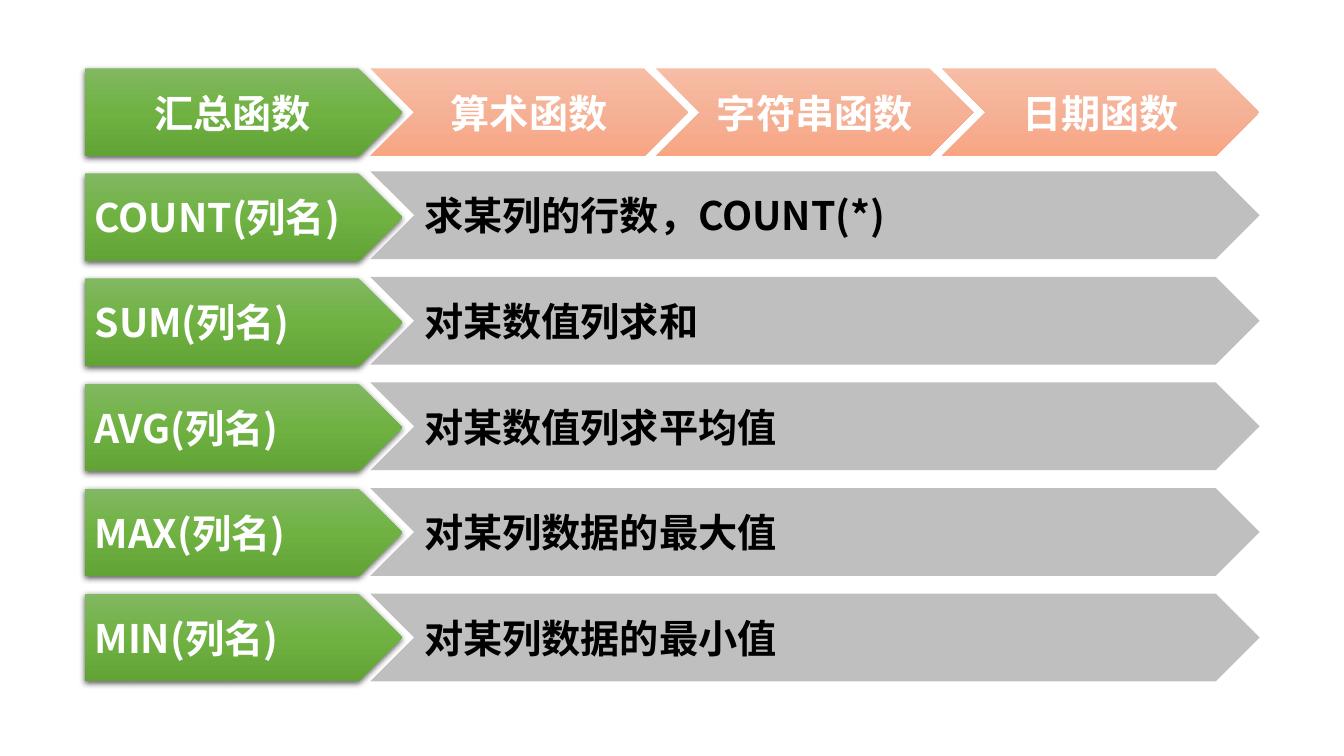
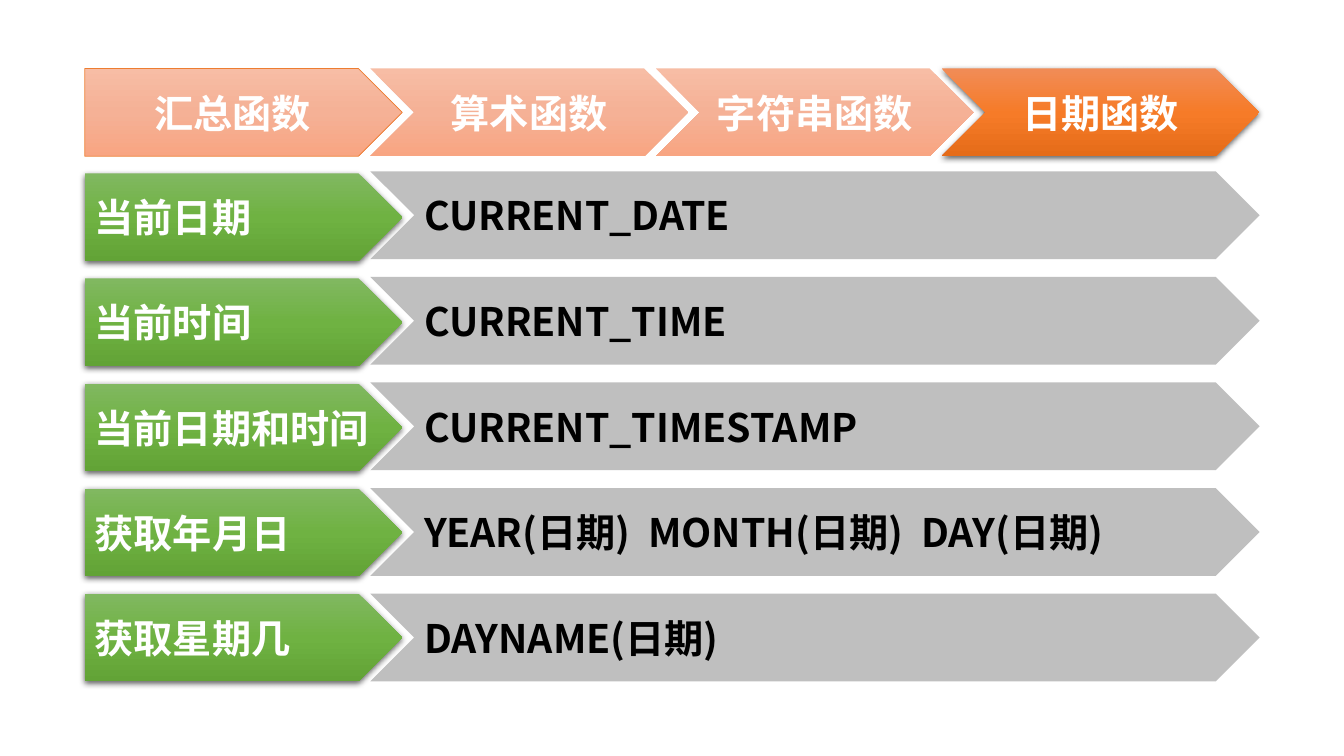
from dataclasses import dataclass

from lxml import etree
from pptx import Presentation
from pptx.dml.color import RGBColor
from pptx.enum.shapes import MSO_SHAPE
from pptx.enum.text import MSO_ANCHOR, PP_ALIGN
from pptx.oxml.ns import qn
from pptx.util import Inches, Pt

PLATE = MSO_SHAPE.PENTAGON
CHEVRON = MSO_SHAPE.CHEVRON
MIDDLE = MSO_ANCHOR.MIDDLE
LEFT = PP_ALIGN.LEFT
CENTER = PP_ALIGN.CENTER

FONT = "Noto Sans CJK SC"
COLORS = {
    "white": "FFFFFF",
    "black": "000000",
    "gray": "BFBFBF",
    "edge": "ED7D31",
}
BLENDS = {
    "green": ("81B861", "6FB242", "62A336"),
    "pale": ("F7BDA5", "F5B196", "F8A582"),
    "orange": ("F18C57", "F67B28", "E56C19"),
}
RAISED = ("green", "orange")

MARGIN = 0.84
STEP = 2.833
TAB_W, ROW_W, HEIGHT = 3.15, 8.82, 0.87
TAB_TOP = 0.68
NAME_TOP, NOTE_TOP, LAST_TOP = 1.72, 1.7, 5.89
TABS = ("汇总函数", "算术函数", "字符串函数", "日期函数")


@dataclass(frozen=True)
class Row:
    name: str
    note: str


@dataclass(frozen=True)
class Page:
    active: int
    accent: str
    rows: tuple[Row, ...]


@dataclass(frozen=True)
class Arrow:
    text: str
    left: float
    top: float
    width: float
    form: int
    fill: str
    ink: str = "white"
    align: int = LEFT
    edge: bool = False


PAGES = (
    Page(0, "green", (
        Row("COUNT(列名)", "求某列的行数，COUNT(*)"),
        Row("SUM(列名)", "对某数值列求和"),
        Row("AVG(列名)", "对某数值列求平均值"),
        Row("MAX(列名)", "对某列数据的最大值"),
        Row("MIN(列名)", "对某列数据的最小值"),
    )),
    Page(3, "orange", (
        Row("当前日期", "CURRENT_DATE"),
        Row("当前时间", "CURRENT_TIME"),
        Row("当前日期和时间", "CURRENT_TIMESTAMP"),
        Row("获取年月日", "YEAR(日期)  MONTH(日期)  DAY(日期)"),
        Row("获取星期几", "DAYNAME(日期)"),
    )),
)


def color(name: str) -> RGBColor:
    return RGBColor.from_string(COLORS[name])


def blend(shape, tones: tuple[str, ...]) -> None:
    shape.fill.gradient()
    grad = shape._element.spPr.find(qn("a:gradFill"))
    for child in list(grad):
        grad.remove(child)
    stops = etree.SubElement(grad, qn("a:gsLst"))
    for spot, tone in enumerate(tones):
        stop = etree.SubElement(stops, qn("a:gs"), pos=str(spot * 50000))
        etree.SubElement(stop, qn("a:srgbClr"), val=tone)
    etree.SubElement(grad, qn("a:lin"), ang="5400000", scaled="0")


def shade(shape) -> None:
    effects = shape._element.spPr.find(qn("a:effectLst"))
    shadow = etree.SubElement(
        effects, qn("a:outerShdw"), blurRad=str(Pt(4.5)),
        dist=str(Pt(1.5)), dir="5400000", algn="ctr", rotWithShape="0")
    tint = etree.SubElement(shadow, qn("a:srgbClr"), val=COLORS["black"])
    etree.SubElement(tint, qn("a:alpha"), val="63000")


def write(shape, arrow: Arrow) -> None:
    frame = shape.text_frame
    frame.text = arrow.text
    frame.word_wrap = True
    frame.vertical_anchor = MIDDLE
    if arrow.align == LEFT:
        frame.margin_right = Inches(0)
    para = frame.paragraphs[0]
    para.alignment = arrow.align
    para.space_before = Pt(12)
    for run in para.runs:
        font = run.font
        font.name = FONT
        font.size = Pt(28)
        font.bold = True
        font.color.rgb = color(arrow.ink)
        etree.SubElement(font._element, qn("a:ea"), typeface=FONT)


def draw(slide, arrow: Arrow) -> None:
    shape = slide.shapes.add_shape(
        arrow.form, Inches(arrow.left), Inches(arrow.top),
        Inches(arrow.width), Inches(HEIGHT))
    shape.shadow.inherit = False
    if arrow.fill in BLENDS:
        blend(shape, BLENDS[arrow.fill])
    else:
        shape.fill.solid()
        shape.fill.fore_color.rgb = color(arrow.fill)
    if arrow.edge:
        shape.line.color.rgb = color("edge")
        shape.line.width = Pt(0.5)
    else:
        shape.line.fill.background()
    if arrow.fill in RAISED:
        shade(shape)
    write(shape, arrow)


def build(slide, page: Page) -> None:
    for spot, text in enumerate(TABS):
        active = spot == page.active
        draw(slide, Arrow(
            text, MARGIN + spot * STEP, TAB_TOP, TAB_W,
            CHEVRON if spot else PLATE,
            page.accent if active else "pale",
            align=CENTER, edge=spot == 0 and not active))
    gaps = len(page.rows) - 1
    for spot, row in enumerate(page.rows):
        top = NAME_TOP + spot * (LAST_TOP - NAME_TOP) / gaps
        draw(slide, Arrow(row.name, MARGIN, top, TAB_W, PLATE, "green"))
    for spot, row in enumerate(page.rows):
        top = NOTE_TOP + spot * (LAST_TOP - NOTE_TOP) / gaps
        draw(slide, Arrow(row.note, MARGIN + STEP, top, ROW_W, CHEVRON,
                          "gray", ink="black"))


def main() -> None:
    deck = Presentation()
    deck.slide_width = Inches(13.33)
    deck.slide_height = Inches(7.5)
    blank = deck.slide_layouts[6]
    for page in PAGES:
        build(deck.slides.add_slide(blank), page)
    deck.save("out.pptx")


if __name__ == "__main__":
    main()
